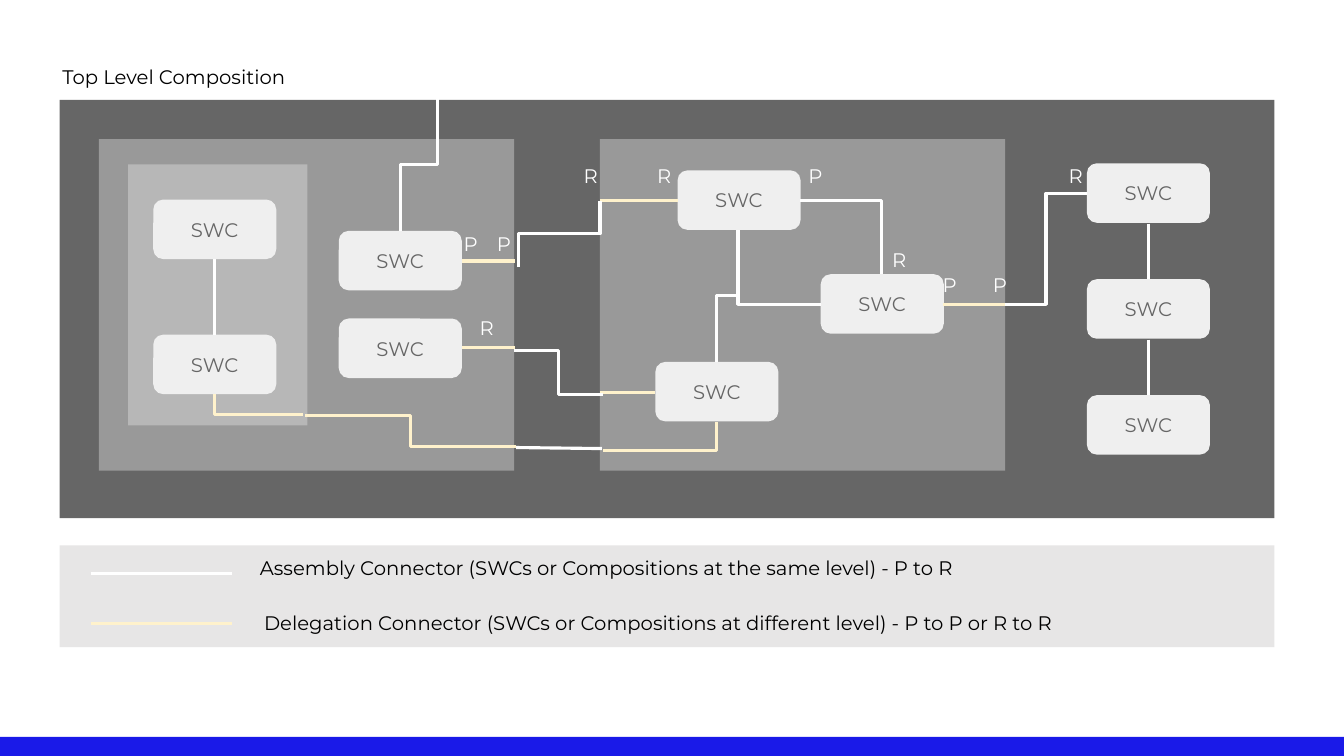
from dataclasses import dataclass

from lxml import etree
from pptx import Presentation
from pptx import util as u
from pptx.dml.color import RGBColor
from pptx.enum import shapes, text
from pptx.oxml import ns


@dataclass(frozen=True)
class Theme:
    font: str = "Montserrat"
    size: int = 14
    line: float = 2.25
    ink: str = "000000"
    white: str = "FFFFFF"
    cream: str = "FFF2CC"
    blue: str = "1A1AE8"
    legend: str = "E7E6E6"
    dark: str = "666666"
    mid: str = "999999"
    light: str = "B7B7B7"
    box: str = "EFEFEF"


THEME = Theme()
BOX_W, BOX_H = 1.22, 0.59
LABEL_H = 0.46


def color(code):
    return RGBColor.from_string(code)


def write(shape, words, tint):
    frame = shape.text_frame
    frame.text = words
    frame.word_wrap = True
    frame.margin_left = frame.margin_right = u.Inches(0.1)
    frame.margin_top = frame.margin_bottom = u.Inches(0.1)
    font = frame.paragraphs[0].runs[0].font
    font.name = THEME.font
    font.size = u.Pt(THEME.size)
    font.color.rgb = color(tint)


def panel(slide, left, top, width, height, fill, kind=shapes.MSO_SHAPE.RECTANGLE):
    area = slide.shapes.add_shape(kind, *map(u.Inches, (left, top, width, height)))
    area.shadow.inherit = False
    area.fill.solid()
    area.fill.fore_color.rgb = color(fill)
    area.line.fill.background()
    return area


def swc(slide, left, top):
    box = panel(slide, left, top, BOX_W, BOX_H, THEME.box,
                shapes.MSO_SHAPE.ROUNDED_RECTANGLE)
    write(box, "SWC", THEME.dark)
    box.text_frame.vertical_anchor = text.MSO_ANCHOR.MIDDLE
    box.text_frame.paragraphs[0].alignment = text.PP_ALIGN.CENTER


def label(slide, words, left, top, width=0.3, tint=THEME.white):
    box = slide.shapes.add_textbox(*map(u.Inches, (left, top, width, LABEL_H)))
    write(box, words, tint)


def link(slide, start, end, tint, kind=shapes.MSO_CONNECTOR.STRAIGHT):
    wire = slide.shapes.add_connector(kind, *map(u.Inches, (*start, *end)))
    wire.line.color.rgb = color(tint)
    wire.line.width = u.Pt(THEME.line)
    etree.SubElement(wire._element.spPr, ns.qn("a:effectLst"))
    return wire


def bend(slide, start, end, tint, corner=False, upright=False):
    if upright:
        (x1, y1), (x2, y2) = start, end
        mid_x, mid_y = (x1 + x2) / 2, (y1 + y2) / 2
        half_x, half_y = (x2 - x1) / 2, (y2 - y1) / 2
        start = mid_x - half_y, mid_y + half_x
        end = mid_x + half_y, mid_y - half_x
    wire = link(slide, start, end, tint, shapes.MSO_CONNECTOR.ELBOW)
    props = wire._element.spPr
    if upright:
        props.find(ns.qn("a:xfrm")).set("rot", "5400000")
    if corner:
        props.find(ns.qn("a:prstGeom")).set("prst", "bentConnector2")


def draw_panels(slide):
    for spot in (
        (0, 7.31, 13.33, 0.19, THEME.blue),
        (0.59, 5.41, 12.05, 1.01, THEME.legend),
        (0.59, 0.99, 12.05, 4.15, THEME.dark),
        (0.98, 1.38, 4.12, 3.29, THEME.mid),
        (5.95, 1.38, 4.02, 3.29, THEME.mid),
        (1.27, 1.63, 1.78, 2.59, THEME.light),
    ):
        panel(slide, *spot)


def draw_boxes(slide):
    for row in range(3):
        swc(slide, 10.78, 1.62 + 1.15 * row)
    for spot in ((6.72, 1.69), (8.14, 2.72), (6.5, 3.59), (3.36, 2.29),
                 (3.36, 3.16), (1.52, 1.98), (1.52, 3.32)):
        swc(slide, *spot)


def draw_links(slide):
    white, cream = THEME.white, THEME.cream
    for start, end, tint in (
        ((2.13, 2.57), (2.13, 3.32), white),
        ((11.39, 2.22), (11.39, 2.77), white),
        ((11.39, 3.37), (11.39, 3.92), white),
        ((5.12, 4.44), (5.97, 4.45), white),
        ((6.72, 1.99), (5.95, 1.99), cream),
        ((6.5, 3.89), (5.95, 3.89), cream),
        ((4.58, 2.59), (5.11, 2.59), cream),
        ((4.58, 3.45), (5.11, 3.45), cream),
        ((9.35, 3.02), (9.97, 3.02), cream),
    ):
        link(slide, start, end, tint)
    for start, end, tint, corner, upright in (
        ((7.93, 1.99), (8.74, 2.72), white, True, False),
        ((7.32, 2.28), (8.14, 3.02), white, True, True),
        ((2.13, 3.91), (3.01, 4.11), cream, True, True),
        ((7.11, 4.19), (5.98, 4.47), cream, True, True),
        ((5.1, 3.48), (5.98, 3.91), white, False, False),
        ((3.03, 4.12), (5.12, 4.43), cream, False, False),
        ((10.78, 1.92), (9.97, 3.02), white, False, False),
        ((7.32, 2.28), (7.11, 3.59), white, False, True),
        ((3.97, 2.29), (4.34, 0.97), white, False, True),
        ((5.14, 2.65), (5.95, 1.99), white, False, True),
    ):
        bend(slide, start, end, tint, corner, upright)


def draw_ports(slide):
    for port, left, top in (
        ("R", 5.69, 1.53), ("R", 6.42, 1.53), ("P", 7.92, 1.53),
        ("R", 10.5, 1.53), ("P", 4.5, 2.2), ("P", 4.83, 2.2),
        ("R", 8.75, 2.36), ("P", 9.25, 2.61), ("P", 9.75, 2.61),
        ("R", 4.66, 3.03),
    ):
        label(slide, port, left, top)


def draw_legend(slide):
    for words, left, top, width, level, tint in (
        ("Assembly Connector (SWCs or Compositions at the same level) - P to R",
         2.48, 5.42, 8.07, 5.69, THEME.white),
        ("Delegation Connector (SWCs or Compositions at different level)"
         " - P to P or R to R", 2.52, 5.96, 8.82, 6.19, THEME.cream),
    ):
        link(slide, (0.9, level), (2.3, level), tint)
        label(slide, words, left, top, width, THEME.ink)


def main():
    deck = Presentation()
    deck.slide_width, deck.slide_height = u.Inches(13.33), u.Inches(7.5)
    slide = deck.slides.add_slide(deck.slide_layouts[6])
    draw_panels(slide)
    draw_boxes(slide)
    draw_links(slide)
    draw_ports(slide)
    draw_legend(slide)
    label(slide, "Top Level Composition", 0.52, 0.54, 2.64, THEME.ink)
    deck.save("out.pptx")


if __name__ == "__main__":
    main()
